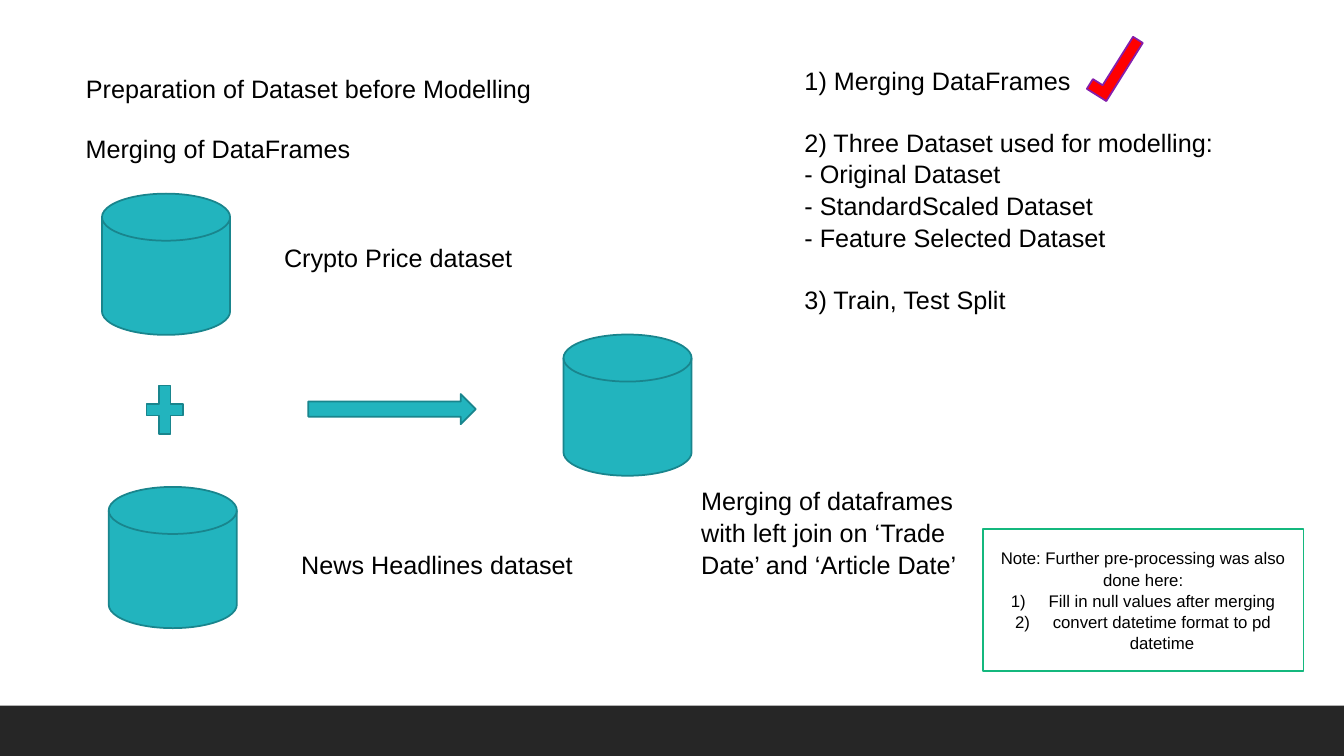
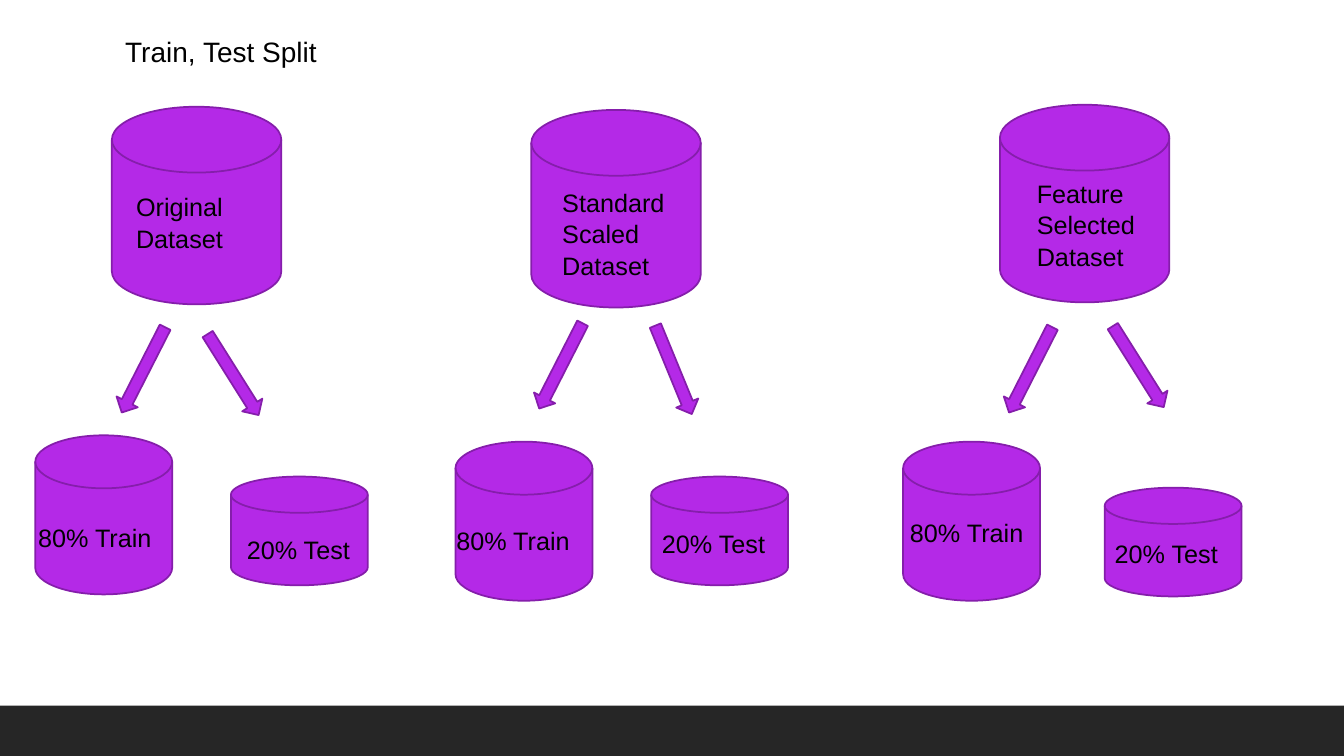
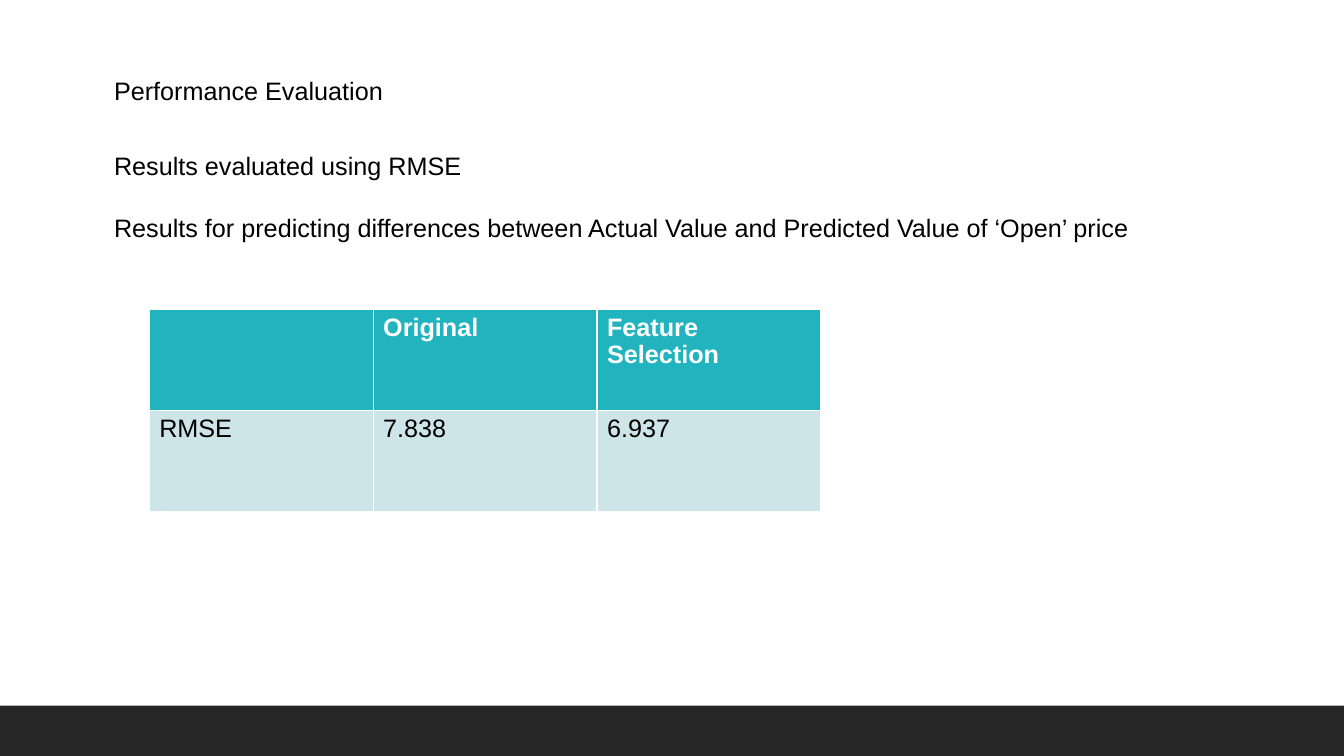
"""Build three slides on dataset preparation, train/test split and evaluation."""
import pptx
import pptx.dml.color
import pptx.enum.shapes
import pptx.enum.text
import pptx.oxml.ns
import pptx.util
from lxml import etree

Cm, Pt = pptx.util.Cm, pptx.util.Pt
SHAPE = pptx.enum.shapes.MSO_SHAPE
ALIGN = pptx.enum.text.PP_ALIGN
ANCHOR = pptx.enum.text.MSO_ANCHOR

FONT = "Arial"
WIDTH, HEIGHT, BAND_HEIGHT = 33.87, 19.05, 1.27
TITLE_AND_BODY, TITLE_ONLY = 1, 5
BLANK_LINE = 21.6
COLORS = {
    "band": "262626", "text": "000000", "white": "FFFFFF",
    "teal": "22B4BE", "teal_line": "19858D", "pale_teal": "CDE5E8",
    "purple": "B429E7", "purple_line": "851EAB",
    "red": "FF0000", "green_line": "14B87E",
}
TEAL = ("teal", "teal_line")
PURPLE = ("purple", "purple_line")

PREPARATION = {
    "title": "Preparation of Dataset before Modelling",
    "steps": [
        ("1) Merging DataFrames", 0),
        ("2) Three Dataset used for modelling:", BLANK_LINE),
        ("- Original Dataset", 0),
        ("- StandardScaled Dataset", 0),
        ("- Feature Selected Dataset", 0),
        ("3) Train, Test Split", BLANK_LINE),
    ],
    "labels": [
        ("Merging of DataFrames", (1.91, 3.2, 12.95, 1.02)),
        ("Crypto Price dataset", (6.91, 5.94, 7.32, 1.02)),
        ("News Headlines dataset", (7.34, 13.67, 8.08, 1.02)),
        ("Merging of dataframes with left join on ‘Trade Date’ and ‘Article Date’",
         (17.42, 12.07, 7.9, 2.57)),
    ],
    "disks": [(2.74, 12.27), (2.57, 4.88), (14.2, 8.43)],
    "note": "Note: Further pre-processing was also done here:",
    "note_items": ["Fill in null values after merging",
                   "convert datetime format to pd datetime"],
}

PART_SIZES = {"dataset": (4.27, 4.98), "train": (3.45, 4.01), "test": (3.45, 2.74)}
ARROW_SIZE = (2.41, 0.6)
LABEL_SIZE = (4, 1.02)
SPLITS = [
    {"dataset": [(2.82, 2.69), (3.18, 4.67), ["Original Dataset"]],
     "train": [(0.89, 10.97), (0.71, 13), ["80% Train"]],
     "test": [(5.82, 12.01), (5.97, 13.31), ["20% Test"]],
     "arrows": [(2.41, 9.02, 117), (4.67, 9.14, 57.8)]},
    {"dataset": [(13.39, 2.77), (13.92, 4.55), ["Standard", "Scaled", "Dataset"]],
     "train": [(11.48, 11.13), (11.25, 13.08), ["80% Train"]],
     "test": [(16.41, 12.01), (16.43, 13.16), ["20% Test"]],
     "arrows": [(12.93, 8.92, 117), (15.77, 9.02, 67.6)]},
    {"dataset": [(25.2, 2.64), (25.88, 4.32), ["Feature Selected Dataset"]],
     "train": [(22.76, 11.13), (22.68, 12.88), ["80% Train"]],
     "test": [(27.84, 12.29), (27.84, 13.39), ["20% Test"]],
     "arrows": [(24.77, 9.02, 117), (27.48, 8.94, 57.8)]},
]

RESULTS = [
    ("Results evaluated using RMSE", 0),
    ("Results for predicting differences between Actual Value and "
     "Predicted Value of ‘Open’ price", BLANK_LINE),
]
SCORES = [["", "Original", "Feature Selection"], ["RMSE", "7.838", "6.937"]]


def rgb(name):
    """Return the named palette colour."""
    return pptx.dml.color.RGBColor.from_string(COLORS[name])


def write(para, text, size=18, color="text", bold=False, align=ALIGN.LEFT,
          spacing=1.05, before=0):
    """Write one formatted run into a paragraph."""
    para.alignment, para.line_spacing = align, spacing
    para.space_before, para.space_after = Pt(before), Pt(0)
    span = para.add_run()
    span.text = text
    span.font.name, span.font.size, span.font.bold = FONT, Pt(size), bold
    span.font.color.rgb = rgb(color)


def set_bullet(para, tag, indent=0, **attributes):
    """Give a paragraph its bullet element and hanging indent."""
    properties = para._p.get_or_add_pPr()
    properties.set("marL", str(int(Cm(indent))))
    properties.set("indent", str(-int(Cm(indent))))
    etree.SubElement(properties, pptx.oxml.ns.qn(tag), **attributes)


def place(box, left, top, width, height):
    """Move and size a box."""
    box.left, box.top, box.width, box.height = map(Cm, (left, top, width, height))


def fill_text(box, lines, size=18):
    """Write (text, space before) lines into a box from its top left."""
    frame = box.text_frame
    frame.word_wrap = True
    frame.auto_size = pptx.enum.text.MSO_AUTO_SIZE.NONE
    frame.vertical_anchor = ANCHOR.TOP
    for index, (text, before) in enumerate(lines):
        para = frame.add_paragraph() if index else frame.paragraphs[0]
        write(para, text, size, before=before)
        set_bullet(para, "a:buNone")


def add_label(page, lines, bounds):
    """Add a text box with one paragraph per line."""
    box = page.shapes.add_textbox(*map(Cm, bounds))
    fill_text(box, [(line, 0) for line in lines])


def add_figure(page, kind, bounds, colors, rotation=0):
    """Add a filled and outlined preset shape."""
    figure = page.shapes.add_shape(kind, *map(Cm, bounds))
    figure.shadow.inherit = False
    figure.rotation = rotation
    figure.fill.solid()
    figure.fill.fore_color.rgb = rgb(colors[0])
    figure.line.color.rgb = rgb(colors[1])
    figure.line.width = Pt(1.25)
    return figure


def add_page(deck, layout, title, bounds, size=18):
    """Add a slide with its title in place."""
    page = deck.slides.add_slide(deck.slide_layouts[layout])
    place(page.shapes.title, *bounds)
    fill_text(page.shapes.title, [(title, 0)], size)
    return page


def add_body(page, lines, bounds):
    """Fill the body placeholder."""
    body = page.placeholders[1]
    place(body, *bounds)
    fill_text(body, lines)


def add_master_band(deck, page):
    """Put the dark footer band on the slide master."""
    bounds = (0, HEIGHT - BAND_HEIGHT, WIDTH, BAND_HEIGHT)
    band = add_figure(page, SHAPE.RECTANGLE, bounds, ("band", "band"))
    band.line.fill.background()
    deck.slide_master.shapes.element.insert(2, band.element)


def add_note(page):
    """Add the framed note with its numbered items."""
    note = add_figure(page, SHAPE.FLOWCHART_PROCESS, (24.77, 13.34, 8.08, 3.56),
                      ("white", "green_line"))
    frame = note.text_frame
    frame.word_wrap = True
    frame.vertical_anchor = ANCHOR.MIDDLE
    write(frame.paragraphs[0], PREPARATION["note"], 12, align=ALIGN.CENTER)
    for item in PREPARATION["note_items"]:
        para = frame.add_paragraph()
        write(para, item, 12, align=ALIGN.CENTER)
        set_bullet(para, "a:buFont", 0.95, typeface=FONT)
        set_bullet(para, "a:buAutoNum", 0.95, type="arabicParenR")


def build_preparation(deck):
    """Build the merging slide."""
    page = add_page(deck, TITLE_AND_BODY, PREPARATION["title"], (1.91, 1.68, 12.95, 1.02))
    add_master_band(deck, page)
    add_body(page, PREPARATION["steps"], (20.02, 1.47, 12.95, 7.19))
    for corner in PREPARATION["disks"]:
        add_figure(page, SHAPE.FLOWCHART_MAGNETIC_DISK, (*corner, 3.23, 3.56), TEAL)
    add_figure(page, SHAPE.RIGHT_ARROW, (7.77, 9.93, 4.22, 0.76), TEAL)
    add_figure(page, SHAPE.MATH_PLUS, (3.53, 9.5, 1.24, 1.65), TEAL)
    for text, bounds in PREPARATION["labels"]:
        add_label(page, [text], bounds)
    add_note(page)
    add_figure(page, SHAPE.CORNER, (27.23, 1.37, 1.73, 0.58), ("red", "purple_line"), 302.1)


def build_split(deck):
    """Build the train/test split slide."""
    page = add_page(deck, TITLE_ONLY, "Train, Test Split", (2.9, 0.69, 6.88, 1.12), 20)
    for split in SPLITS:
        for part, size in PART_SIZES.items():
            corner, label_corner, lines = split[part]
            add_figure(page, SHAPE.FLOWCHART_MAGNETIC_DISK, (*corner, *size), PURPLE)
            add_label(page, lines, (*label_corner, *LABEL_SIZE))
        for left, top, angle in split["arrows"]:
            add_figure(page, SHAPE.RIGHT_ARROW, (left, top, *ARROW_SIZE), PURPLE, angle)


def build_evaluation(deck):
    """Build the evaluation slide with its score table."""
    page = add_page(deck, TITLE_AND_BODY, "Performance Evaluation", (2.62, 1.73, 8, 1.02))
    add_body(page, RESULTS, (2.62, 3.63, 29, 2.57))
    bounds = map(Cm, (3.76, 7.8, 16.93, 5.08))
    table = page.shapes.add_table(len(SCORES), len(SCORES[0]), *bounds).table
    for row, values in enumerate(SCORES):
        header = row == 0
        for column, value in enumerate(values):
            cell = table.cell(row, column)
            cell.fill.solid()
            cell.fill.fore_color.rgb = rgb("teal" if header else "pale_teal")
            if value:
                write(cell.text_frame.paragraphs[0], value, bold=header,
                      color="white" if header else "text", spacing=0.97)


def main():
    """Build and save the deck."""
    deck = pptx.Presentation()
    deck.slide_width, deck.slide_height = Cm(WIDTH), Cm(HEIGHT)
    build_preparation(deck)
    build_split(deck)
    build_evaluation(deck)
    deck.save("out.pptx")


if __name__ == "__main__":
    main()
